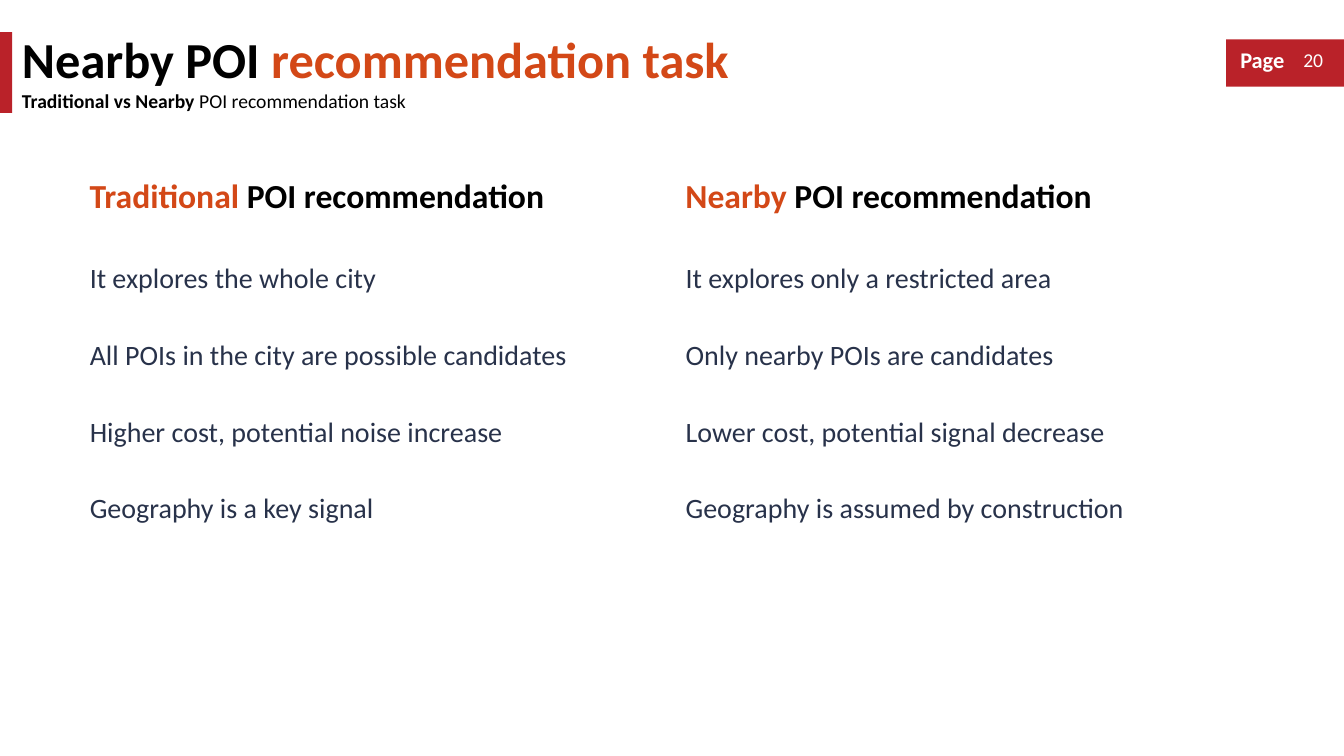
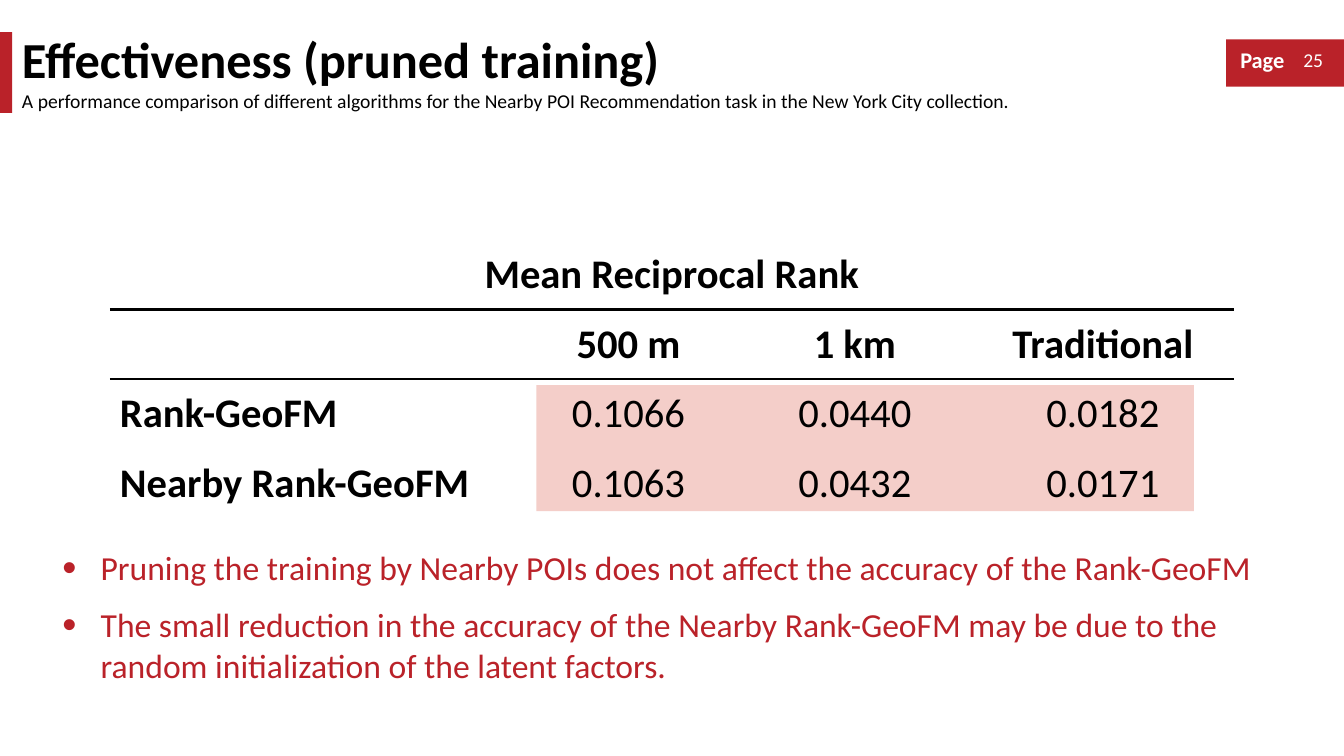
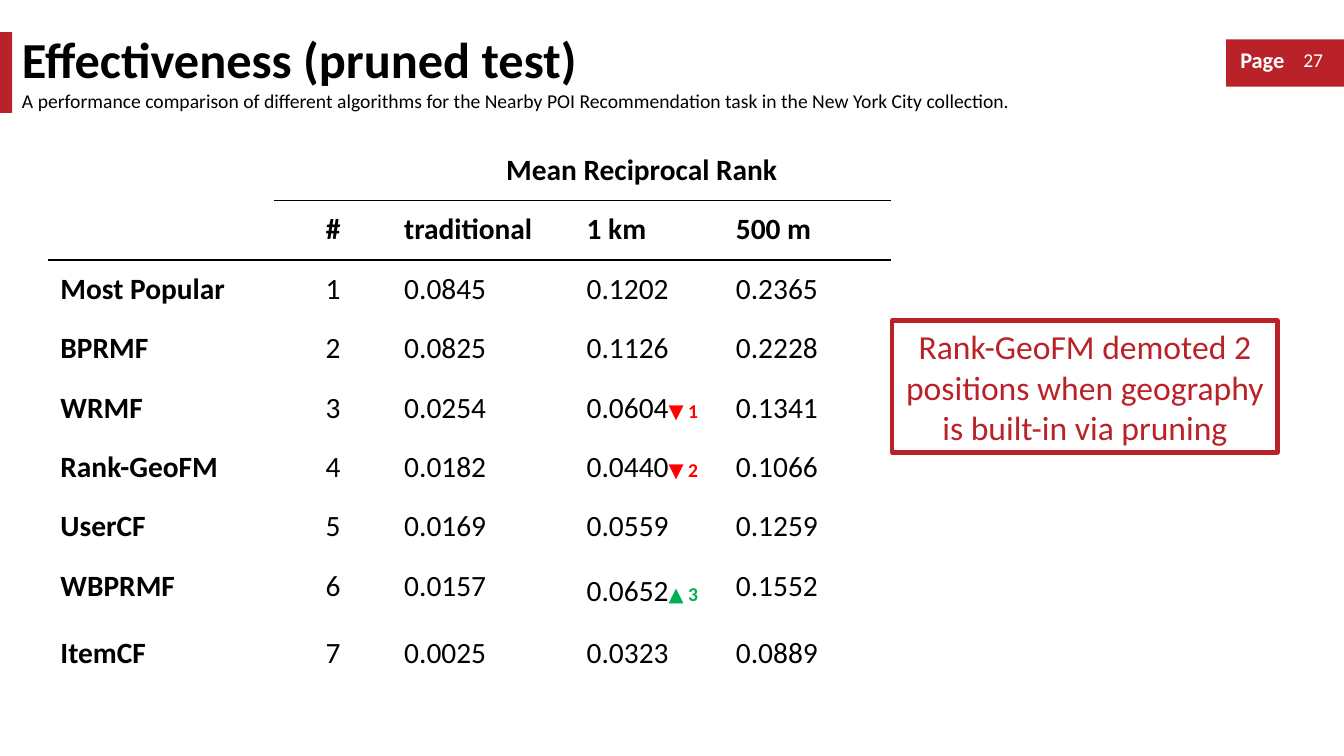
from dataclasses import dataclass

from lxml import etree
from pptx import Presentation
from pptx.dml.color import RGBColor
from pptx.enum import shapes, text
from pptx.oxml import ns
from pptx.util import Inches, Pt

FONT = "Calibri"
RED, ORANGE, BLACK, WHITE = "BA2229", "D34817", "000000", "FFFFFF"
NAVY, PINK, DOWN, UP = "28324A", "F4CEC9", "FF0000", "00B050"
NO_GRID = "{2D5ABB26-0587-4C30-8999-92F81FD0307C}"
LEFT, CENTER = text.PP_ALIGN.LEFT, text.PP_ALIGN.CENTER
TOP, MIDDLE = text.MSO_ANCHOR.TOP, text.MSO_ANCHOR.MIDDLE
RECT, OVAL = shapes.MSO_SHAPE.RECTANGLE, shapes.MSO_SHAPE.OVAL
COLLECTION = ("A performance comparison of different algorithms for the Nearby POI "
              "Recommendation task in the New York City collection.")


@dataclass
class Run:
    words: str
    size: float
    color: str = BLACK
    bold: bool = False


@dataclass
class Box:
    left: float
    top: float
    width: float
    height: float

    def lengths(self):
        return [Inches(n) for n in (self.left, self.top, self.width, self.height)]


@dataclass
class Rule:
    row: int
    first_col: int
    points: float


@dataclass
class Grid:
    left: float
    top: float
    cols: list
    heights: list
    aligns: list
    inset_x: float
    inset_y: float
    rules: list


def rgb(color: str) -> RGBColor:
    return RGBColor.from_string(color)


def write(paragraph, runs: list, align=LEFT) -> None:
    paragraph.alignment = align
    for part in runs:
        run = paragraph.add_run()
        run.text = part.words
        run.font.name = FONT
        run.font.size = Pt(part.size)
        run.font.bold = part.bold
        run.font.color.rgb = rgb(part.color)


def add_text(slide, box: Box, runs: list, align=LEFT, anchor=MIDDLE, spacing=None):
    frame = slide.shapes.add_textbox(*box.lengths()).text_frame
    frame.word_wrap = True
    frame.vertical_anchor = anchor
    write(frame.paragraphs[0], runs, align)
    frame.paragraphs[0].line_spacing = spacing
    return frame


def add_block(slide, box: Box, fill=None, line=None, runs=(), kind=RECT) -> None:
    block = slide.shapes.add_shape(kind, *box.lengths())
    block.shadow.inherit = False
    if fill:
        block.fill.solid()
        block.fill.fore_color.rgb = rgb(fill)
    else:
        block.fill.background()
    if line:
        block.line.color.rgb = rgb(line)
        block.line.width = Pt(3)
    else:
        block.line.fill.background()
    block.text_frame.word_wrap = True
    write(block.text_frame.paragraphs[0], runs, CENTER)


def underline(cell, points: float) -> None:
    edge = etree.Element(ns.qn("a:lnB"), w=str(Pt(points)))
    fill = etree.SubElement(edge, ns.qn("a:solidFill"))
    etree.SubElement(fill, ns.qn("a:srgbClr"), val=BLACK)
    cell._tc.get_or_add_tcPr().insert(0, edge)


def add_grid(slide, grid: Grid, rows: list):
    box = Box(grid.left, grid.top, sum(grid.cols), sum(grid.heights))
    table = slide.shapes.add_table(len(rows), len(grid.cols), *box.lengths()).table
    table._tbl.tblPr.find(ns.qn("a:tableStyleId")).text = NO_GRID
    table.first_row = table.horz_banding = False
    for column, width in zip(table.columns, grid.cols):
        column.width = Inches(width)
    for r, (height, cells) in enumerate(zip(grid.heights, rows)):
        table.rows[r].height = Inches(height)
        for c, runs in enumerate(cells):
            cell = table.cell(r, c)
            cell.fill.background()
            cell.margin_left = cell.margin_right = Inches(grid.inset_x)
            cell.margin_top = cell.margin_bottom = Inches(grid.inset_y)
            write(cell.text_frame.paragraphs[0], runs, grid.aligns[c])
    for rule in grid.rules:
        for c in range(rule.first_col, len(grid.cols)):
            underline(table.cell(rule.row, c), rule.points)
    return table


def add_results(slide, grid: Grid, size: float, caption_col: int, rows: list):
    last = len(grid.cols) - 1
    caption = [[] for _ in grid.cols]
    caption[caption_col] = [Run("Mean Reciprocal Rank", size, BLACK, True)]
    body = [
        [[Run(words, size, BLACK, r == 0 or c == 0)] if words else []
         for c, words in enumerate(row)]
        for r, row in enumerate(rows)
    ]
    table = add_grid(slide, grid, [caption] + body)
    heading = table.cell(0, caption_col)
    heading.merge(table.cell(0, last))
    heading.text_frame.paragraphs[0].alignment = CENTER
    return table


def add_bullets(slide, box: Box, lines: list) -> None:
    frame = add_text(slide, box, [], anchor=TOP)
    for i, words in enumerate(lines):
        paragraph = frame.add_paragraph() if i else frame.paragraphs[0]
        write(paragraph, [Run(words, 24, RED)])
        paragraph.space_after = Pt(12)
        props = paragraph._p.get_or_add_pPr()
        props.set("marL", str(Inches(0.38)))
        props.set("indent", str(-Inches(0.38)))
        etree.SubElement(props, ns.qn("a:buSzPct"), val="120000")
        etree.SubElement(props, ns.qn("a:buFont"), typeface="Arial")
        etree.SubElement(props, ns.qn("a:buChar"), char="•")


def start_slide(deck, page: int, title: list, subtitle: list):
    slide = deck.slides.add_slide(deck.slide_layouts[6])
    add_block(slide, Box(12.16, 0.39, 1.18, 0.47), RED)
    add_block(slide, Box(12.63, 0.34, 0.79, 0.51), runs=[Run(str(page), 14, WHITE)], kind=OVAL)
    add_text(slide, Box(12.17, 0.41, 0.7, 0.37), [Run("Page", 16, WHITE, True)], CENTER)
    add_block(slide, Box(0, 0.32, 0.12, 0.8), RED)
    add_text(slide, Box(0.12, 0.86, 11, 0.28), subtitle, anchor=TOP, spacing=0.9)
    add_text(slide, Box(0.12, 0.3, 11, 0.56), title)
    return slide


def task_slide(deck) -> None:
    slide = start_slide(
        deck, 20,
        [Run("Nearby POI ", 36, BLACK, True), Run("recommendation task", 36, ORANGE, True)],
        [Run("Traditional vs Nearby", 14, BLACK, True), Run(" POI recommendation task", 14)])
    for task, left, width in (("Traditional", 0.79, 5.43), ("Nearby", 6.7, 4.83)):
        add_text(slide, Box(left, 1.68, width, 0.56),
                 [Run(task, 24, ORANGE, True), Run(" POI recommendation", 24, BLACK, True)],
                 spacing=0.9)
    contrasts = [
        ("It explores the whole city", "It explores only a restricted area"),
        ("All POIs in the city are possible candidates", "Only nearby POIs are candidates"),
        ("Higher cost, potential noise increase", "Lower cost, potential signal decrease"),
        ("Geography is a key signal", "Geography is assumed by construction"),
    ]
    for i, contrast in enumerate(contrasts):
        grid = Grid(0.79, 2.5 + 0.76 * i, [5.91] * 2, [0.53], [LEFT] * 2, 0.1, 0.1, [])
        add_grid(slide, grid, [[[Run(words, 20, NAVY)] for words in contrast]])


def training_slide(deck) -> None:
    slide = start_slide(deck, 25, [Run("Effectiveness (pruned training)", 36, BLACK, True)],
                        [Run(COLLECTION, 14)])
    add_block(slide, Box(5.32, 3.82, 6.52, 1.25), PINK)
    grid = Grid(1.09, 2.38, [4.06, 2.17, 2.32, 2.6], [0.69] * 5, [LEFT] + [CENTER] * 3,
                0.1, 0.1, [Rule(0, 0, 2.25), Rule(1, 0, 2.25)])
    add_results(slide, grid, 29, 0, [
        ("", "500 m", "1 km", "Traditional"),
        ("Rank-GeoFM", "0.1066", "0.0440", "0.0182"),
        ("Nearby Rank-GeoFM", "0.1063", "0.0432", "0.0171"),
        ("", "", "", ""),
    ])
    add_bullets(slide, Box(0.52, 5.38, 12.3, 1.48), [
        "Pruning the training by Nearby POIs does not affect the accuracy of the Rank-GeoFM",
        "The small reduction in the accuracy of the Nearby Rank-GeoFM may be due to the "
        "random initialization of the latent factors.",
    ])


def test_slide(deck) -> None:
    slide = start_slide(deck, 27, [Run("Effectiveness (pruned test)", 36, BLACK, True)],
                        [Run(COLLECTION, 14)])
    grid = Grid(0.48, 1.4, [2.24, 1.17, 1.81, 1.48, 1.66], [0.59] * 7 + [0.67, 0.59],
                [LEFT, CENTER] + [LEFT] * 3, 0.12, 0.11, [Rule(0, 1, 1), Rule(1, 0, 2.25)])
    table = add_results(slide, grid, 21, 2, [
        ("", "#", "traditional", "1 km", "500 m"),
        ("Most Popular", "1", "0.0845", "0.1202", "0.2365"),
        ("BPRMF", "2", "0.0825", "0.1126", "0.2228"),
        ("WRMF", "3", "0.0254", "0.0604", "0.1341"),
        ("Rank-GeoFM", "4", "0.0182", "0.0440", "0.1066"),
        ("UserCF", "5", "0.0169", "0.0559", "0.1259"),
        ("WBPRMF", "6", "0.0157", "0.0652", "0.1552"),
        ("ItemCF", "7", "0.0025", "0.0323", "0.0889"),
    ])
    for row, arrow, places, color in ((4, "▼ ", "1", DOWN), (5, "▼ ", "2", DOWN),
                                      (7, "▲ ", "3", UP)):
        write(table.cell(row, 3).text_frame.paragraphs[0],
              [Run(arrow, 14, color), Run(places, 14, color, True)])
    table.cell(7, 3).vertical_anchor = MIDDLE
    add_block(slide, Box(8.85, 3.18, 3.82, 1.31), line=RED, runs=[
        Run("Rank-GeoFM demoted 2 positions when geography is built-in via pruning", 24, RED)])


def main() -> None:
    deck = Presentation()
    deck.slide_width, deck.slide_height = Inches(13.33), Inches(7.5)
    task_slide(deck)
    training_slide(deck)
    test_slide(deck)
    deck.save("out.pptx")


if __name__ == "__main__":
    main()
